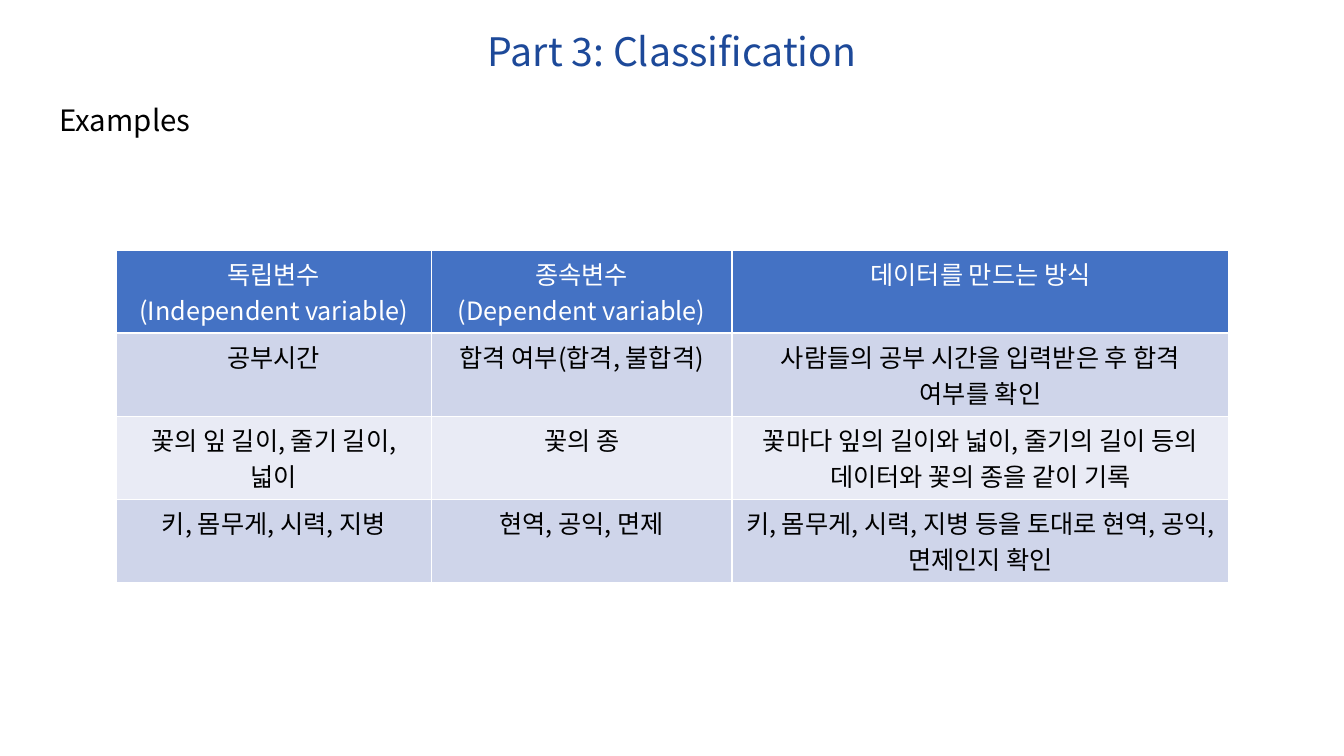
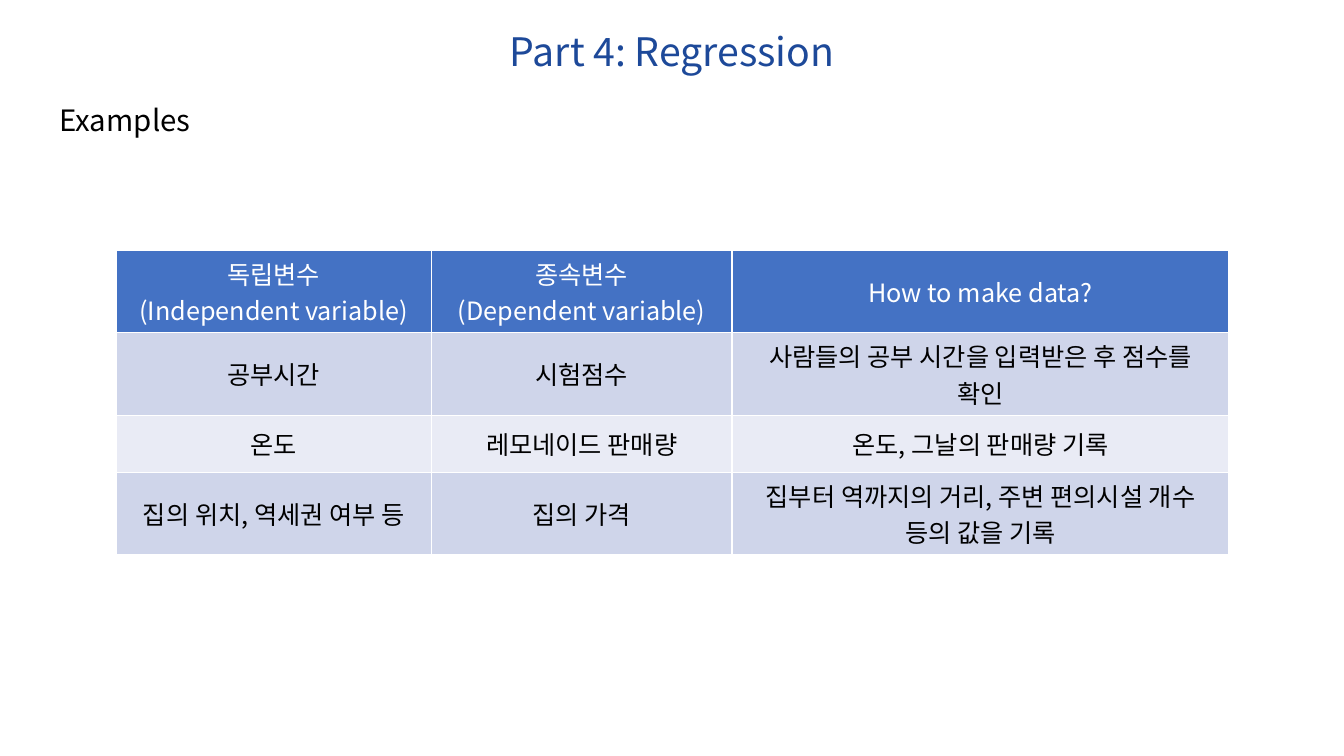
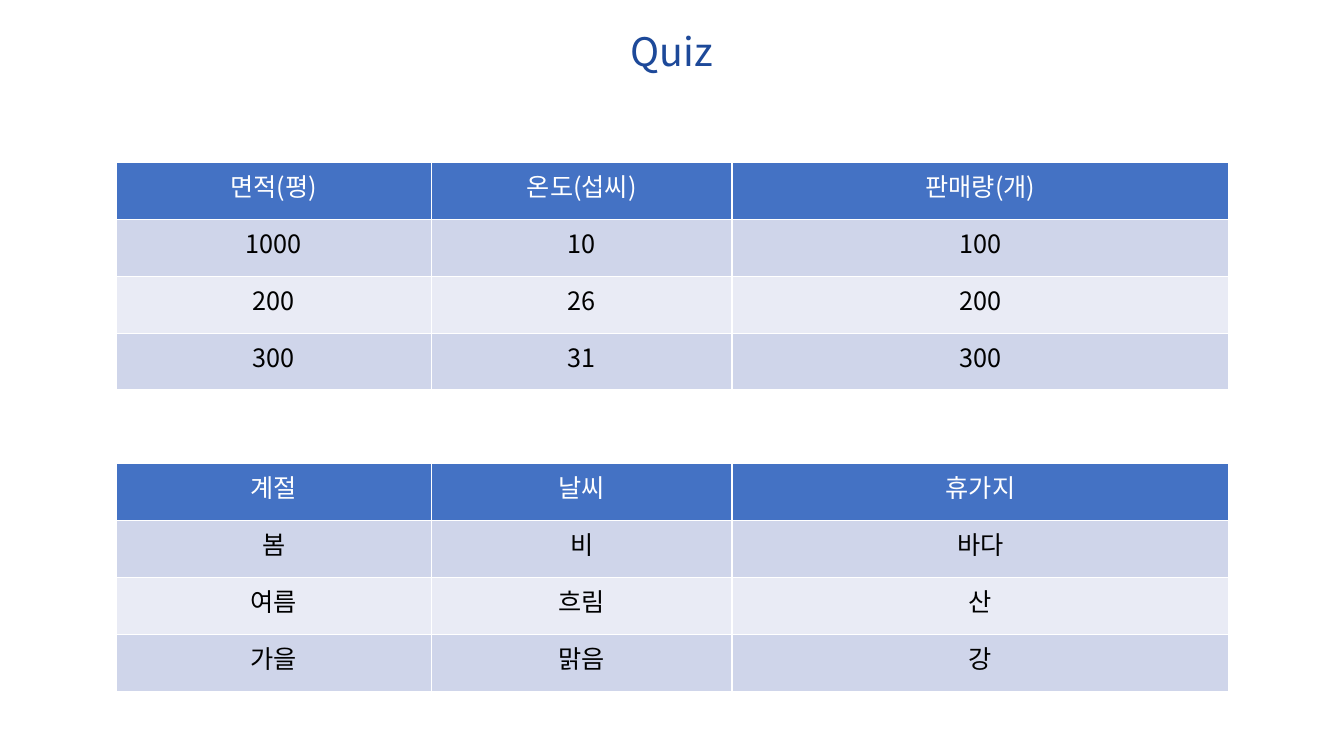
from pptx import Presentation
from pptx.dml.color import RGBColor as RGB
from pptx.enum.text import MSO_ANCHOR as ANCHOR, PP_ALIGN as ALIGN
from pptx.oxml.ns import qn
from pptx.util import Inches, Pt
from lxml.etree import SubElement

FONT = "Noto Sans CJK KR"
COLORS = {
    "title": "1D4999", "text": "000000", "header_text": "FFFFFF",
    "header": "4472C4", "odd": "CFD5EA", "even": "E9EBF5",
}
COLUMNS = (3.13, 2.98, 4.93)
TABLE_LEFT, CELL_MARGIN = 1.15, 0.12
ONE_LINE, TWO_LINES = 2.26 / 4, 0.82
TITLE_BOX = (2.72, 0.22, 7.89, 0.57)
SUBTITLE_BOX = (0.49, 0.96, 4.52, 0.45)

VARIABLES = ("독립변수\n(Independent variable)", "종속변수\n(Dependent variable)")

SLIDES = [
    {
        "title": "Part 3: Classification",
        "subtitle": "Examples",
        "tables": [(2.48, [TWO_LINES] * 4, [
            (*VARIABLES, "데이터를 만드는 방식"),
            ("공부시간", "합격 여부(합격, 불합격)",
             "사람들의 공부 시간을 입력받은 후 합격 여부를 확인"),
            ("꽃의 잎 길이, 줄기 길이,\n넓이", "꽃의 종",
             "꽃마다 잎의 길이와 넓이, 줄기의 길이 등의 데이터와 꽃의 종을 같이 기록"),
            ("키, 몸무게, 시력, 지병", "현역, 공익, 면제",
             "키, 몸무게, 시력, 지병 등을 토대로 현역, 공익, 면제인지 확인"),
        ])],
    },
    {
        "title": "Part 4: Regression",
        "subtitle": "Examples",
        "anchor": ANCHOR.MIDDLE,
        "tables": [(2.48, [TWO_LINES, TWO_LINES, ONE_LINE, TWO_LINES], [
            (*VARIABLES, "How to make data?"),
            ("공부시간", "시험점수", "사람들의 공부 시간을 입력받은 후 점수를 확인"),
            ("온도", "레모네이드 판매량", "온도, 그날의 판매량 기록"),
            ("집의 위치, 역세권 여부 등", "집의 가격",
             "집부터 역까지의 거리, 주변 편의시설 개수 등의 값을 기록"),
        ])],
    },
    {
        "title": "Quiz",
        "tables": [
            (1.61, [ONE_LINE] * 4, [
                ("면적(평)", "온도(섭씨)", "판매량(개)"),
                ("1000", "10", "100"),
                ("200", "26", "200"),
                ("300", "31", "300"),
            ]),
            (4.6, [ONE_LINE] * 4, [
                ("계절", "날씨", "휴가지"),
                ("봄", "비", "바다"),
                ("여름", "흐림", "산"),
                ("가을", "맑음", "강"),
            ]),
        ],
    },
]


def write(frame, text, size=18, color="text", align=ALIGN.CENTER):
    for index, line in enumerate(text.split("\n")):
        paragraph = frame.add_paragraph() if index else frame.paragraphs[0]
        paragraph.alignment = align
        run = paragraph.add_run()
        run.text = line
        run.font.size = Pt(size)
        run.font.bold = False
        run.font.name = FONT
        run.font.color.rgb = RGB.from_string(COLORS[color])
        SubElement(run.font._element, qn("a:ea"), typeface=FONT)


def add_label(slide, box, text, **style):
    frame = slide.shapes.add_textbox(*map(Inches, box)).text_frame
    frame.word_wrap = True
    write(frame, text, **style)


def add_grid(slide, top, heights, rows, anchor):
    table = slide.shapes.add_table(
        len(rows), len(COLUMNS), Inches(TABLE_LEFT), Inches(top),
        Inches(sum(COLUMNS)), Inches(sum(heights))).table
    for column, width in zip(table.columns, COLUMNS):
        column.width = Inches(width)
    for r, (row, height) in enumerate(zip(rows, heights)):
        table.rows[r].height = Inches(height)
        band = "odd" if r % 2 else "even" if r else "header"
        for c, text in enumerate(row):
            cell = table.cell(r, c)
            cell.fill.solid()
            cell.fill.fore_color.rgb = RGB.from_string(COLORS[band])
            cell.vertical_anchor = anchor
            cell.margin_left = cell.margin_right = Inches(CELL_MARGIN)
            write(cell.text_frame, text, color="text" if r else "header_text")


def main():
    deck = Presentation()
    deck.slide_width, deck.slide_height = Inches(13.33), Inches(7.5)
    for content in SLIDES:
        slide = deck.slides.add_slide(deck.slide_layouts[6])
        for top, heights, rows in content["tables"]:
            add_grid(slide, top, heights, rows, content.get("anchor", ANCHOR.TOP))
        add_label(slide, TITLE_BOX, content["title"], size=28, color="title")
        if "subtitle" in content:
            add_label(slide, SUBTITLE_BOX, content["subtitle"], size=21, align=ALIGN.LEFT)
    deck.save("out.pptx")


if __name__ == "__main__":
    main()
